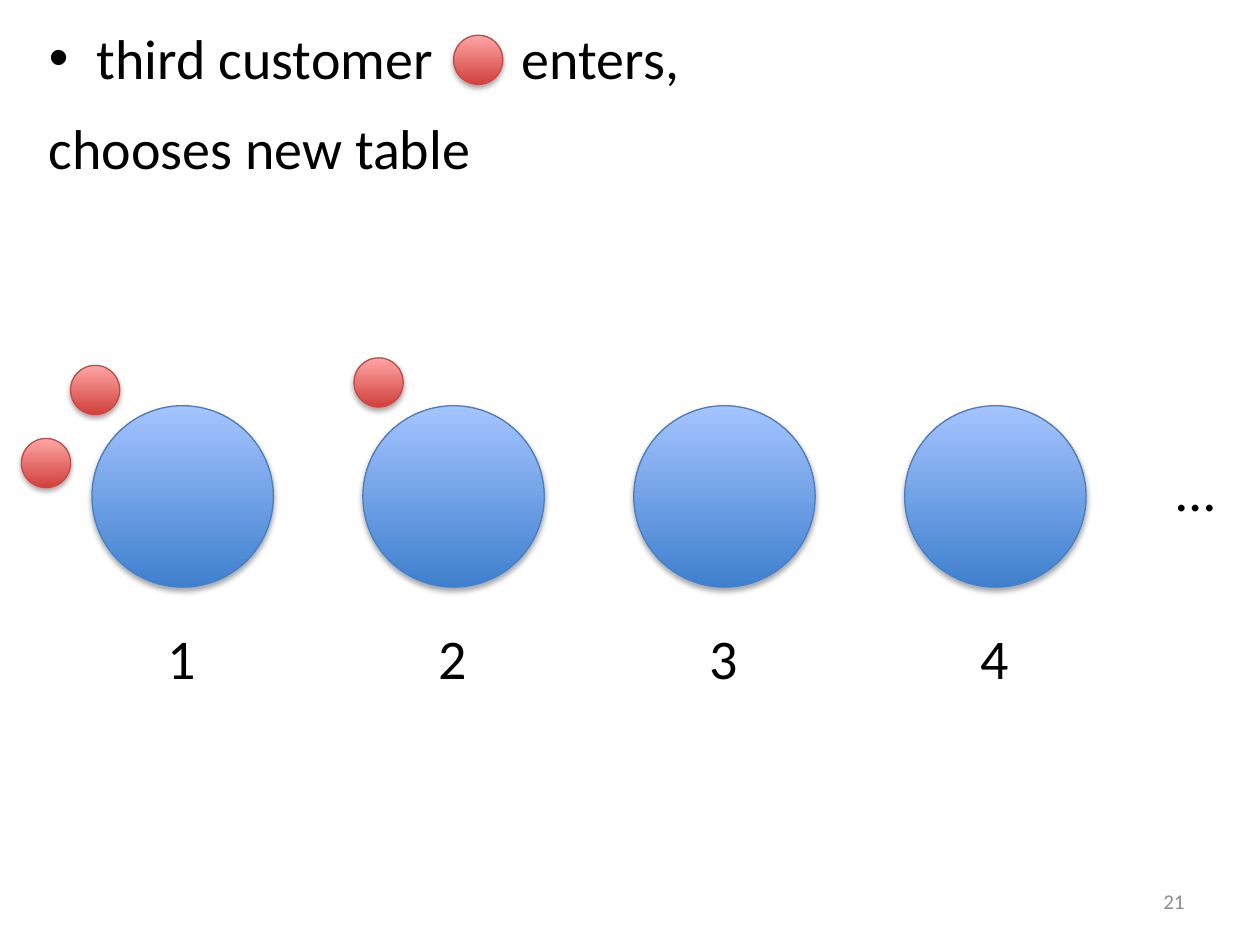
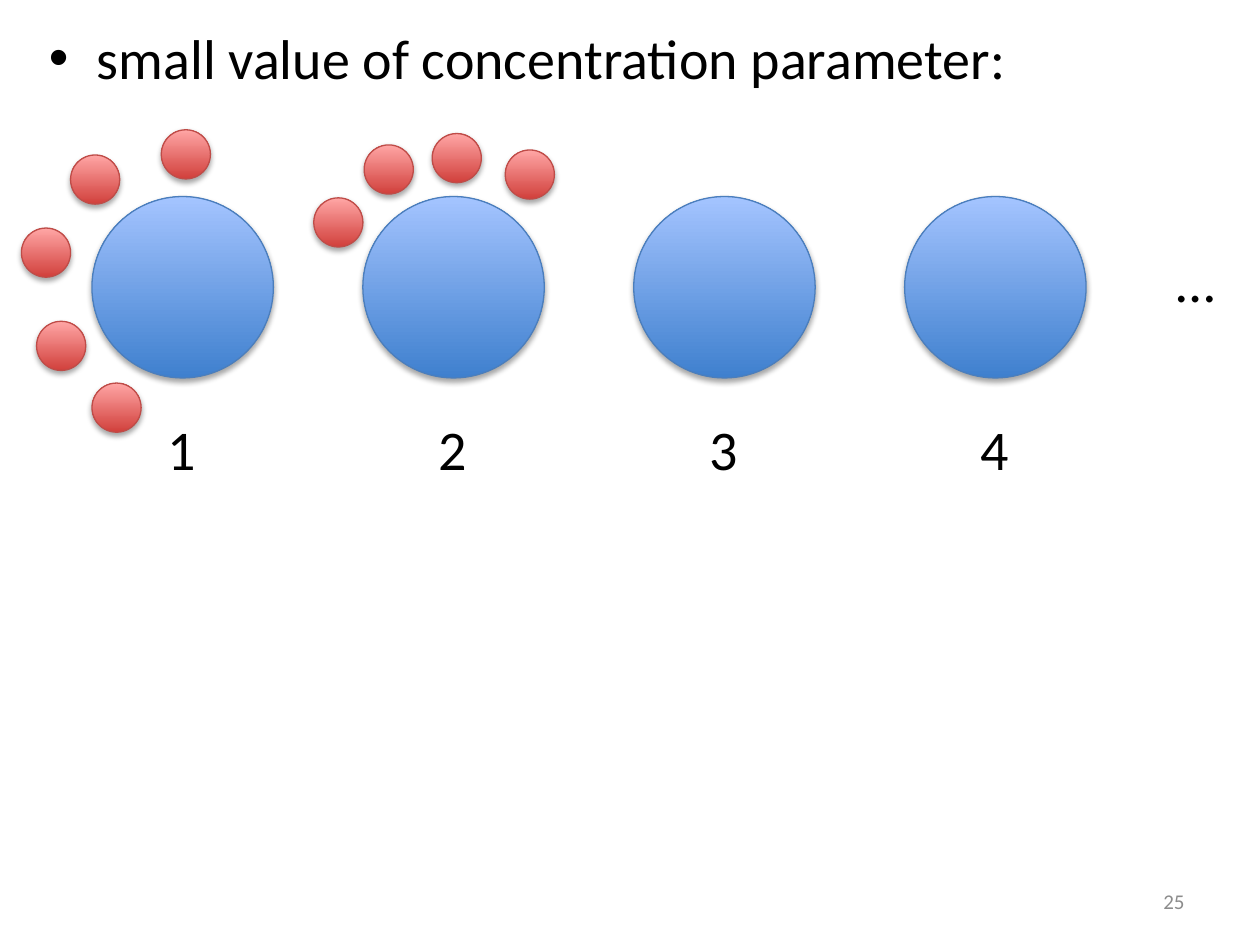
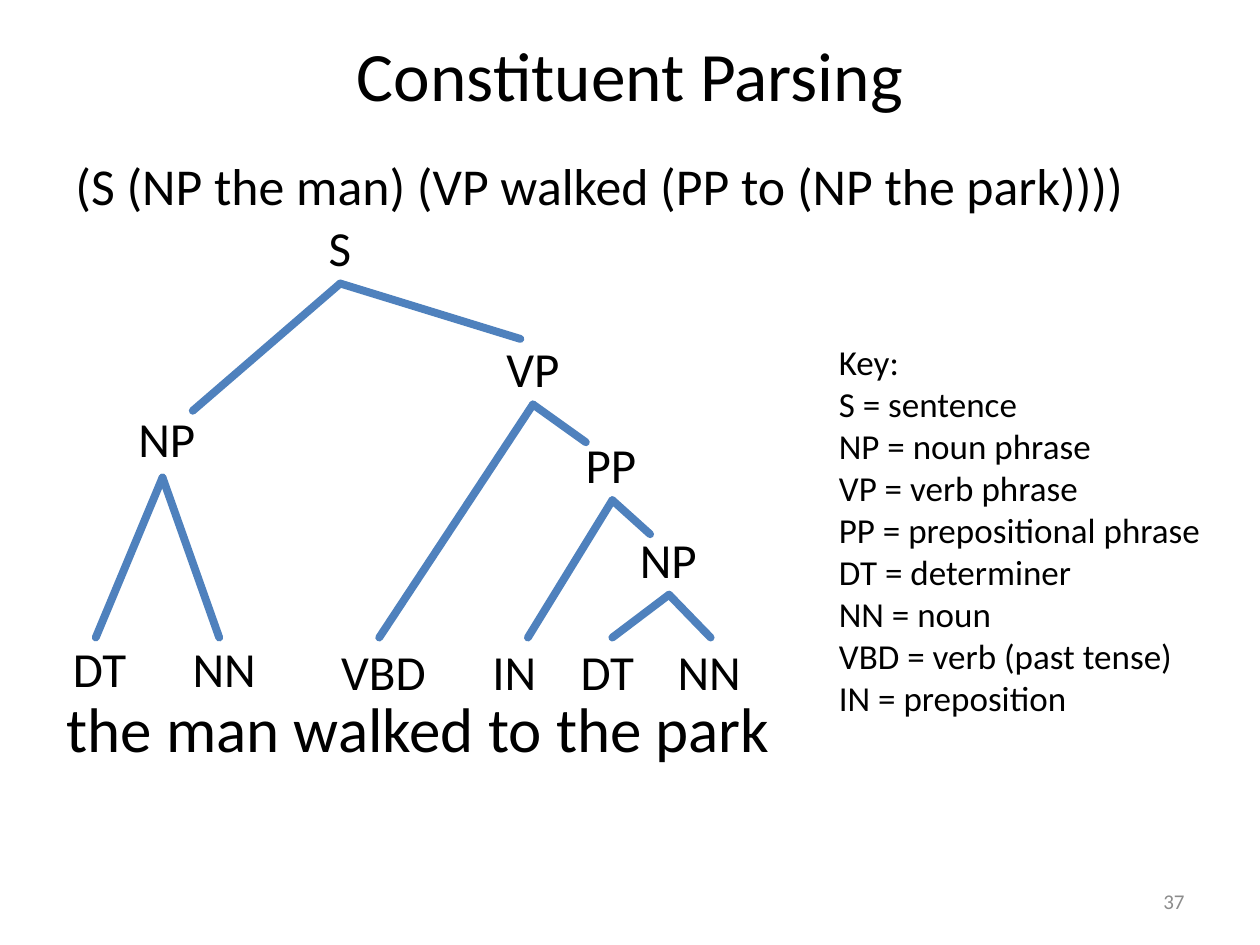
from lxml import etree
from pptx import Presentation
from pptx.dml.color import RGBColor
from pptx.enum.shapes import MSO_CONNECTOR, MSO_SHAPE
from pptx.enum.text import MSO_ANCHOR, MSO_AUTO_SIZE, PP_ALIGN
from pptx.oxml import parse_xml
from pptx.oxml.ns import nsdecls, qn
from pptx.util import Inches, Pt

ELLIPSE = MSO_SHAPE.OVAL
STRAIGHT = MSO_CONNECTOR.STRAIGHT
MIDDLE = MSO_ANCHOR.MIDDLE
FIT_SHAPE = MSO_AUTO_SIZE.SHAPE_TO_FIT_TEXT
NO_FIT = MSO_AUTO_SIZE.NONE
CENTER, RIGHT = PP_ALIGN.CENTER, PP_ALIGN.RIGHT

TITLE_ONLY, BLANK = 5, 6

BLACK = RGBColor(0x00, 0x00, 0x00)
GRAY = RGBColor(0x8C, 0x8C, 0x8C)
BRANCH_BLUE = RGBColor(0x4F, 0x81, 0xBD)
# Each disc style: bottom colour, top colour, outline
TABLE_STYLE = (RGBColor(0x3F, 0x80, 0xCE), RGBColor(0xA4, 0xC4, 0xFF), RGBColor(0x4B, 0x7E, 0xBC))
CUSTOMER_STYLE = (RGBColor(0xD1, 0x40, 0x3C), RGBColor(0xFF, 0xA6, 0xA5), RGBColor(0xBF, 0x4C, 0x48))

FONT = "Calibri"
HEADING_BOX = (0.29, 0.14, 9, 5.53)
NUMBER_BOX = (7.17, 6.95, 2.33, 0.4)
TABLE_COUNT, TABLE_SIZE, TABLE_PITCH = 4, 1.44, 2.15
CUSTOMER_SIZE = 0.39
LABEL_WIDTH, LABEL_HEIGHT = 0.43, 0.64
GAP_FOR_CUSTOMER = Pt(43.4)

SHADOW = (
    f'<a:outerShdw {nsdecls("a")} blurRad="{Pt(3.1)}" dist="{Pt(1.8)}" dir="5400000" rotWithShape="0">'
    '<a:srgbClr val="000000"><a:alpha val="35000"/></a:srgbClr></a:outerShdw>'
)

# Tree label: text, left, top, width
TREE_LABELS = [
    ("S", 2.08, 0, 0.38),
    ("NP", 0.57, 1.51, 0.66),
    ("VP", 3.49, 0.96, 0.63),
    ("PP", 4.12, 1.72, 0.61),
    ("NP", 4.55, 2.47, 0.66),
    ("DT", 0.05, 3.34, 0.63),
    ("NN", 1.0, 3.34, 0.71),
    ("VBD", 2.18, 3.36, 0.9),
    ("IN", 3.38, 3.36, 0.62),
    ("DT", 4.08, 3.36, 0.65),
    ("NN", 4.85, 3.36, 0.73),
]
# Parent point: the ends of its two branches
TREE_BRANCHES = {
    (2.27, 0.57): [(1.1, 1.58), (3.7, 1.01)],
    (0.86, 2.11): [(0.33, 3.38), (1.31, 3.38)],
    (3.8, 1.53): [(2.58, 3.38), (4.22, 1.83)],
    (4.43, 2.29): [(3.76, 3.38), (4.73, 2.56)],
    (4.88, 3.04): [(4.43, 3.38), (5.21, 3.38)],
}
KEY_LINES = [
    "Key:",
    "S = sentence",
    "NP = noun phrase",
    "VP = verb phrase",
    "PP = prepositional phrase",
    "DT = determiner",
    "NN = noun",
    "VBD = verb (past tense)",
    "IN = preposition",
]


# Shared helpers
def format_font(font, size, color=BLACK):
    for name, value in {"name": FONT, "size": Pt(size)}.items():
        setattr(font, name, value)
    font.color.rgb = color


def add_text(slide, box, lines, size, color=BLACK, align=None, wrap=False, anchor=None):
    shape = slide.shapes.add_textbox(*map(Inches, box))
    frame = shape.text_frame
    settings = {
        "text": "\n".join(lines),
        "word_wrap": wrap,
        "auto_size": NO_FIT if wrap else FIT_SHAPE,
        "vertical_anchor": anchor,
    }
    for name, value in settings.items():
        setattr(frame, name, value)
    for paragraph in frame.paragraphs:
        paragraph.alignment = align
        for run in paragraph.runs:
            format_font(run.font, size, color)
    return frame


def add_bullet(paragraph):
    properties = paragraph._p.get_or_add_pPr()
    properties.set("marL", str(Inches(0.38)))
    properties.set("indent", str(-Inches(0.38)))
    bullet_font = parse_xml(f'<a:buFont {nsdecls("a")} typeface="Arial"/>')
    bullet = parse_xml(f'<a:buChar {nsdecls("a")} char="•"/>')
    for position, element in enumerate((bullet_font, bullet)):
        properties.insert(position, element)


def add_slide_number(slide, number):
    add_text(slide, NUMBER_BOX, [str(number)], 12, GRAY, RIGHT, wrap=True, anchor=MIDDLE)


def add_disc(slide, left, top, diameter, style):
    bottom_color, top_color, line_color = style
    disc = slide.shapes.add_shape(ELLIPSE, *map(Inches, (left, top, diameter, diameter)))
    disc.fill.gradient()
    disc.fill.gradient_angle = 90
    for stop, color in zip(disc.fill.gradient_stops, (bottom_color, top_color)):
        stop.color.rgb = color
    disc.line.color.rgb = line_color
    disc.line.width = Pt(0.75)
    disc.shadow.inherit = False
    disc.element.spPr.find(qn("a:effectLst")).append(parse_xml(SHADOW))


# Restaurant slides
def add_heading(slide, lines):
    frame = add_text(slide, HEADING_BOX, lines, 32, wrap=True)
    add_bullet(frame.paragraphs[0])
    for paragraph in frame.paragraphs[1:]:
        paragraph.space_before = Pt(13)
    return frame.paragraphs[0]


def add_table_row(slide, left, top, seating):
    """Draw numbered tables; seating maps a table number to customer offsets from that table."""
    for number in range(1, TABLE_COUNT + 1):
        table_left = left + (number - 1) * TABLE_PITCH
        add_disc(slide, table_left, top, TABLE_SIZE, TABLE_STYLE)
        label_left = table_left + (TABLE_SIZE - LABEL_WIDTH) / 2
        add_text(slide, (label_left, top + 1.68, LABEL_WIDTH, LABEL_HEIGHT), [str(number)], 32)
        for across, down in seating.get(number, []):
            add_disc(slide, table_left + across, top + down, CUSTOMER_SIZE, CUSTOMER_STYLE)
    add_text(slide, (left + 8.51, top + 0.35, 0.51, LABEL_HEIGHT), ["…"], 32)


def build_third_customer(presentation):
    slide = presentation.slides.add_slide(presentation.slide_layouts[BLANK])
    first = add_heading(slide, ["third customer", "chooses new table"])
    # The widened space leaves room for the customer within the line
    gap, ending = first.add_run(), first.add_run()
    gap.text, ending.text = " ", "enters,"
    for run in (gap, ending):
        format_font(run.font, 32)
    gap._r.get_or_add_rPr().set("spc", str(int(GAP_FOR_CUSTOMER.pt * 100)))
    add_table_row(slide, 0.73, 3.22, {1: [(-0.17, -0.32), (-0.56, 0.26)], 2: [(-0.07, -0.38)]})
    add_disc(slide, 3.6, 0.28, CUSTOMER_SIZE, CUSTOMER_STYLE)
    add_slide_number(slide, 21)


def build_small_concentration(presentation):
    slide = presentation.slides.add_slide(presentation.slide_layouts[BLANK])
    add_heading(slide, ["small value of concentration parameter:"])
    seating = {
        1: [(-0.17, -0.33), (0.55, -0.53), (-0.56, 0.25), (-0.44, 0.99), (0, 1.48)],
        2: [(0.01, -0.41), (-0.39, 0.01), (0.55, -0.5), (1.13, -0.37)],
    }
    add_table_row(slide, 0.73, 1.56, seating)
    add_slide_number(slide, 25)


# Parsing slide
def add_branch(slide, start, end):
    branch = slide.shapes.add_connector(STRAIGHT, *map(Inches, (*start, *end)))
    branch.line.color.rgb = BRANCH_BLUE
    branch.line.width = Pt(4.5)
    properties = branch.element.spPr
    properties.find(qn("a:ln")).set("cap", "rnd")
    etree.SubElement(properties, qn("a:effectLst"))


def add_parse_tree(slide, left, top):
    for (x, y), ends in TREE_BRANCHES.items():
        for end_x, end_y in ends:
            add_branch(slide, (left + x, top + y), (left + end_x, top + end_y))
    for text, x, y, width in TREE_LABELS:
        add_text(slide, (left + x, top + y, width, 0.57), [text], 28)
    add_text(slide, (left, top + 3.74, 5.87, 0.71), ["the man walked to the park"], 36)


def build_constituent_parsing(presentation):
    slide = presentation.slides.add_slide(presentation.slide_layouts[TITLE_ONLY])
    title = slide.shapes.title
    placement = zip(("left", "top", "width", "height"), (0.5, 0.19, 9, 0.79))
    for name, value in placement:
        setattr(title, name, Inches(value))
    title.text_frame.text = "Constituent Parsing"
    title.text_frame.vertical_anchor = MIDDLE
    paragraph = title.text_frame.paragraphs[0]
    paragraph.alignment = CENTER
    format_font(paragraph.font, 39.6)

    bracketed = "(S (NP the man) (VP walked (PP to (NP the park))))"
    add_text(slide, (0.5, 1.17, 9, 0.78), [bracketed], 29.6, wrap=True)
    add_parse_tree(slide, 0.43, 1.68)
    add_text(slide, (6.56, 2.65, 3.1, 3.47), KEY_LINES, 20)
    add_slide_number(slide, 37)


def main():
    presentation = Presentation()
    presentation.slide_width = Inches(10)
    presentation.slide_height = Inches(7.5)
    build_third_customer(presentation)
    build_small_concentration(presentation)
    build_constituent_parsing(presentation)
    presentation.save("out.pptx")


if __name__ == "__main__":
    main()
